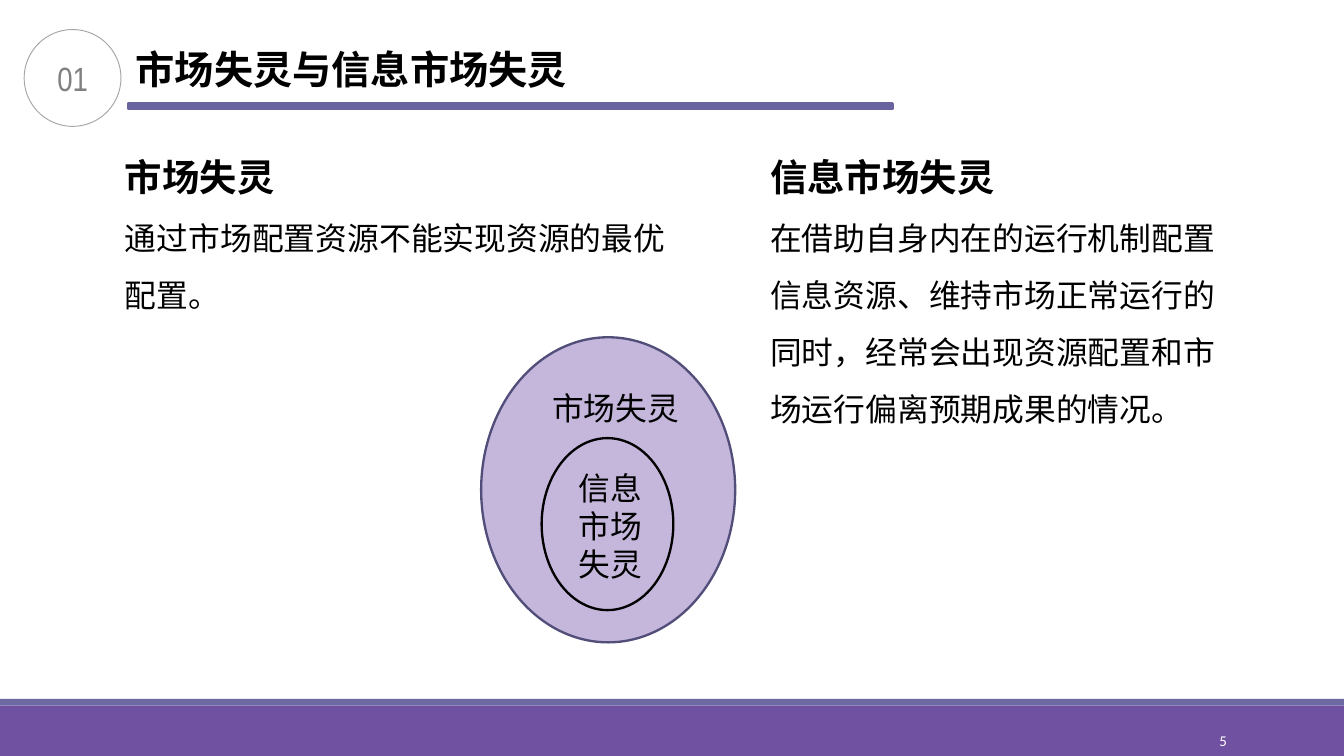
"""Builds the slide that compares market failure with information market failure."""
from lxml.etree import SubElement
from pptx import Presentation
from pptx.dml.color import RGBColor
from pptx.enum.shapes import MSO_SHAPE
from pptx.enum.text import MSO_ANCHOR, MSO_AUTO_SIZE, PP_ALIGN
from pptx.oxml.ns import qn
from pptx.util import Inches, Pt

WIDTH, HEIGHT = Inches(10), Inches(5.625)
UNIT = WIDTH / 100

BLACK = RGBColor(0x00, 0x00, 0x00)
WHITE = RGBColor(0xFF, 0xFF, 0xFF)
GREY = RGBColor(0x80, 0x80, 0x80)
RING_GREY = RGBColor(0xA6, 0xA6, 0xA6)
PURPLE = RGBColor(0x70, 0x50, 0xA0)
STRIPE = RGBColor(0x6D, 0x69, 0xA3)
RULE = RGBColor(0x69, 0x64, 0xA0)
LILAC = RGBColor(0xC5, 0xB7, 0xDB)
OUTLINE = RGBColor(0x51, 0x4E, 0x79)

CJK = "Noto Sans CJK SC"
HEADING = {"size": Pt(20), "bold": True, "name": "Calibri"}
TEXT = {"size": Pt(17), "bold": False, "name": "Calibri"}
TITLE = {"size": Pt(21), "bold": True, "name": CJK}
NUMBER = {"size": Pt(18), "name": "Arial Narrow"}
PAGE = {"size": Pt(8), "name": "Calibri"}
FLUSH = {"space_before": Pt(0), "alignment": PP_ALIGN.LEFT}
BODY = {**FLUSH, "line_spacing": 1.5}
CENTRED = {"alignment": PP_ALIGN.CENTER}
RIGHT = {"alignment": PP_ALIGN.RIGHT}
PLAIN = {"word_wrap": True, "auto_size": MSO_AUTO_SIZE.NONE, "vertical_anchor": MSO_ANCHOR.TOP}
MIDDLE = {**PLAIN, "vertical_anchor": MSO_ANCHOR.MIDDLE}
TIGHT = {"margin_left": Inches(0.07), "margin_right": Inches(0.07),
         "margin_top": Inches(0.04), "margin_bottom": Inches(0.04)}


def span(*cells):
    """Turn columns and rows of the grid into lengths."""
    return [round(cell * UNIT) for cell in cells]


def set_values(target, values):
    """Set each named attribute of the target."""
    for name, value in values.items():
        setattr(target, name, value)


def place(placeholder, cells):
    """Move a placeholder to its cells of the grid."""
    set_values(placeholder, dict(zip(("left", "top", "width", "height"), span(*cells))))
    return placeholder


def write(holder, lines, frame=PLAIN, color=BLACK):
    """Fill a shape with lines of text, font values and paragraph values."""
    set_values(holder.text_frame, frame)
    for index, (words, font, layout) in enumerate(lines):
        paragraphs = holder.text_frame
        paragraph = paragraphs.add_paragraph() if index else paragraphs.paragraphs[0]
        set_values(paragraph, layout)
        run = paragraph.add_run()
        run.text = words
        set_values(run.font, font)
        run.font.color.rgb = color
        SubElement(run.font._element, qn("a:ea"), typeface=CJK)


def clear_bullets(holder):
    """Remove the bullets and hanging indents of a list."""
    for paragraph in holder.text_frame.paragraphs:
        properties = paragraph._p.get_or_add_pPr()
        properties.set("marL", "0")
        properties.set("indent", "0")
        SubElement(properties, qn("a:buNone"))


def add_figure(slide, kind, cells, fill=None, line=None, weight=1.25):
    """Draw a preset shape with an optional fill and outline."""
    figure = slide.shapes.add_shape(kind, *span(*cells))
    figure.shadow.inherit = False
    if fill is None:
        figure.fill.background()
    else:
        figure.fill.solid()
        figure.fill.fore_color.rgb = fill
    if line is None:
        figure.line.fill.background()
    else:
        figure.line.color.rgb = line
        figure.line.width = Pt(weight)
    return figure


def add_label(slide, cells, lines, frame=PLAIN, color=BLACK):
    """Add a free text box."""
    write(slide.shapes.add_textbox(*span(*cells)), lines, frame, color)


def add_footer(slide):
    """Draw the bands at the foot with the page number."""
    add_figure(slide, MSO_SHAPE.RECTANGLE, (0, 52.5, 100, 3.75), PURPLE)
    add_figure(slide, MSO_SHAPE.RECTANGLE, (0, 52, 100, 0.5), STRIPE)
    add_label(slide, (81.2, 53.6, 10.8, 3), [("5", PAGE, RIGHT)], {**MIDDLE, **TIGHT}, WHITE)


def add_header(slide):
    """Set the title, its rule and the section number."""
    add_figure(slide, MSO_SHAPE.RECTANGLE, (9.5, 7.7, 56.9, 0.4), RULE, RULE)
    badge = add_figure(slide, MSO_SHAPE.OVAL, (1.8, 2.2, 7.2, 7.2), line=RING_GREY, weight=0.5)
    write(badge, [("01", NUMBER, CENTRED)], {**MIDDLE, **TIGHT}, GREY)
    title = place(slide.shapes.title, (9.4, 3, 34.1, 4.3))
    write(title, [("市场失灵与信息市场失灵", TITLE, FLUSH)], {**PLAIN, **TIGHT, "word_wrap": False})


def add_definition(placeholder, cells, term, meaning):
    """Fill a body placeholder with a term and its meaning."""
    place(placeholder, cells)
    write(placeholder, [(term, HEADING, FLUSH), (meaning, TEXT, BODY)])
    clear_bullets(placeholder)


def add_nested_sets(slide):
    """Draw information market failure inside market failure."""
    add_figure(slide, MSO_SHAPE.OVAL, (35.8, 25.1, 18.9, 22.7), LILAC, OUTLINE)
    add_label(slide, (40.1, 28.4, 13.4, 3.9), [("市场失灵", TEXT, FLUSH)])
    add_figure(slide, MSO_SHAPE.OVAL, (40.3, 32.6, 9.8, 12.8), LILAC, BLACK)
    add_label(slide, (42.1, 34.4, 14.3, 9.6),
              [(words, TEXT, FLUSH) for words in ("信息", "市场", "失灵")])


def main():
    """Build and save the slide."""
    deck = Presentation()
    set_values(deck, {"slide_width": WIDTH, "slide_height": HEIGHT})
    slide = deck.slides.add_slide(deck.slide_layouts.get_by_name("Two Content"))
    add_footer(slide)
    add_header(slide)
    add_definition(slide.placeholders[1], (8.3, 11, 44, 12.5),
                   "市场失灵", "通过市场配置资源不能实现资源的最优配置。")
    add_definition(slide.placeholders[2], (56.3, 11, 35.7, 21.1), "信息市场失灵",
                   "在借助自身内在的运行机制配置信息资源、维持市场正常运行的同时，"
                   "经常会出现资源配置和市场运行偏离预期成果的情况。")
    add_nested_sets(slide)
    deck.save("out.pptx")


if __name__ == "__main__":
    main()
